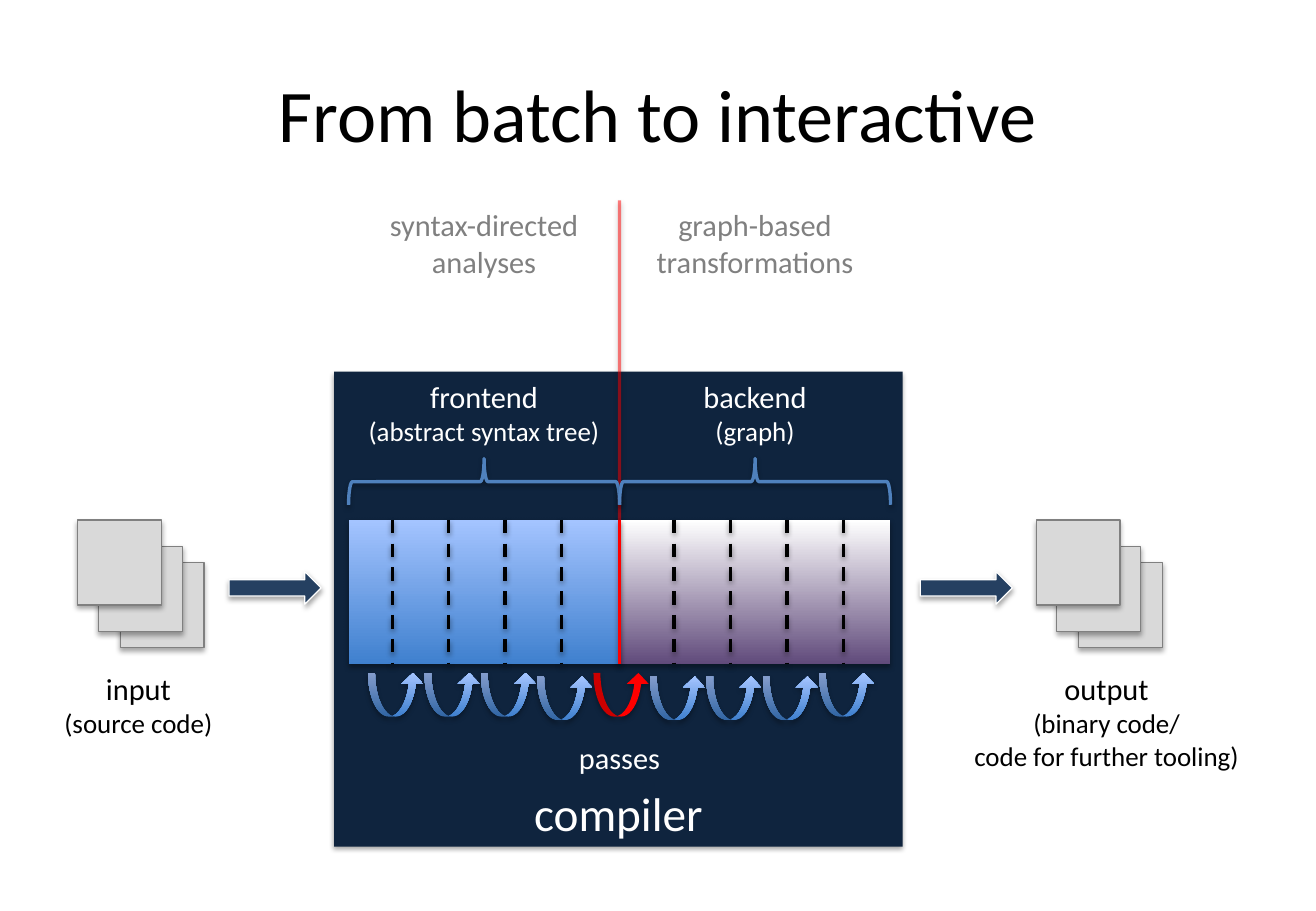
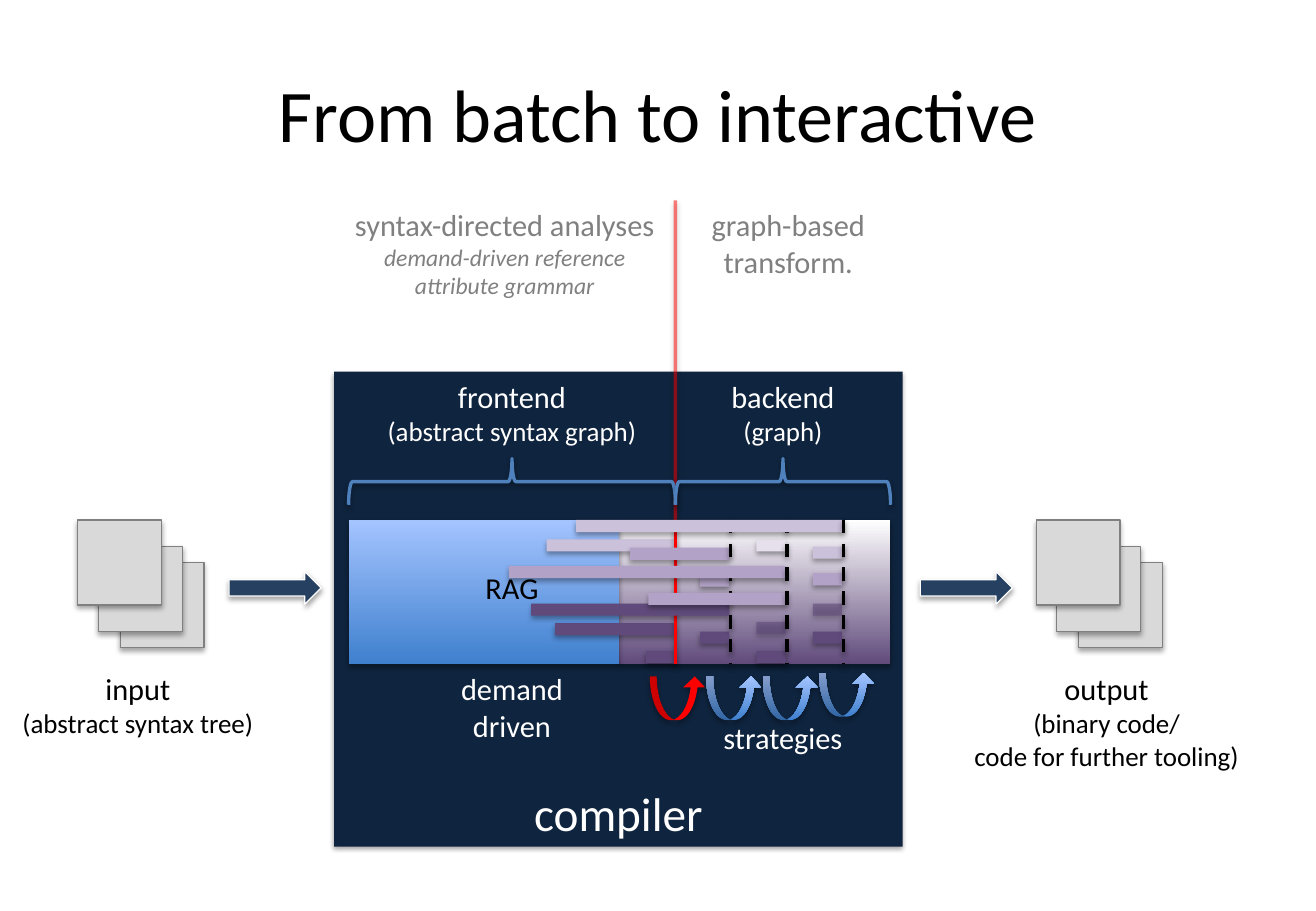
from lxml.etree import SubElement
from pptx import Presentation
from pptx.dml.color import RGBColor
from pptx.enum.dml import MSO_LINE
from pptx.enum.shapes import MSO_CONNECTOR, MSO_SHAPE
from pptx.enum.text import MSO_ANCHOR, MSO_AUTO_SIZE, PP_ALIGN
from pptx.oxml.ns import qn
from pptx.util import Pt

FONT = "Calibri"
BLACK, WHITE, GRAY, RED = "000000", "FFFFFF", "808080", "FF0000"
NAVY, ARROW, PAPER, BRACE = "0F243E", "254061", "D9D9D9", "4F81BD"
PURPLE, LILAC, PALE, PALEST = "604A7B", "B3A2C7", "CCC1DA", "E6E0EC"
BLUE_FADE = ("3F80CE", "A4C4FF")
PURPLE_FADE = (PURPLE, WHITE)

LEFT, MIDDLE, RIGHT = 206.6, 367.2, 527.8
TOP, BAND = 308.2, 85.7
BOTTOM = TOP + BAND
PASS_START, PASS_STEP = 232.6, 33.4
SHORT = 17.3
LABEL_TOP = 118.8


def color(value):
    return RGBColor.from_string(value)


def pass_x(index):
    return PASS_START + PASS_STEP * index


def set_alpha(holder, percent):
    SubElement(holder.find(".//" + qn("a:srgbClr")), qn("a:alpha"), val=str(percent * 1000))


def add_shadow(properties, distance, percent):
    effects = properties.find(qn("a:effectLst"))
    if effects is None:
        effects = SubElement(properties, qn("a:effectLst"))
    shadow = SubElement(effects, qn("a:outerShdw"), blurRad=str(Pt(3.1)), dist=str(Pt(distance)),
                        dir="5400000", rotWithShape="0")
    SubElement(shadow, qn("a:srgbClr"), val=BLACK)
    set_alpha(shadow, percent)


def add_figure(slide, kind, box, fill=None, line=None, width=0.75, alpha=None):
    shape = slide.shapes.add_shape(kind, *map(Pt, box))
    if fill is None:
        shape.fill.background()
    elif isinstance(fill, tuple):
        shape.fill.gradient()
        shape.fill.gradient_angle = 90
        for stop, shade in zip(shape.fill.gradient_stops, fill):
            stop.color.rgb = color(shade)
    else:
        shape.fill.solid()
        shape.fill.fore_color.rgb = color(fill)
    if alpha:
        set_alpha(shape.element.spPr, alpha)
    if line:
        shape.line.color.rgb = color(line)
        shape.line.width = Pt(width)
    else:
        shape.line.fill.background()
    shape.shadow.inherit = False
    add_shadow(shape.element.spPr, 1.8, 35)
    return shape


def add_vertical(slide, x, top, bottom, shade, dashed=False, alpha=None):
    connector = slide.shapes.add_connector(
        MSO_CONNECTOR.STRAIGHT, Pt(x), Pt(top), Pt(x), Pt(bottom))
    connector.line.color.rgb = color(shade)
    connector.line.width = Pt(2)
    if dashed:
        connector.line.dash_style = MSO_LINE.DASH
    if alpha:
        set_alpha(connector.element.spPr, alpha)
    add_shadow(connector.element.spPr, 1.6, 38)


def write_lines(frame, lines, shade):
    for index, (text, size, *italic) in enumerate(lines):
        paragraph = frame.add_paragraph() if index else frame.paragraphs[0]
        paragraph.text = text
        paragraph.alignment = PP_ALIGN.CENTER
        paragraph.font.name = FONT
        paragraph.font.size = Pt(size)
        paragraph.font.color.rgb = color(shade)
        if italic:
            paragraph.font.italic = True


def add_label(slide, box, lines, shade, wrap=True):
    frame = slide.shapes.add_textbox(*map(Pt, box)).text_frame
    frame.word_wrap = wrap
    frame.auto_size = MSO_AUTO_SIZE.SHAPE_TO_FIT_TEXT
    write_lines(frame, lines, shade)


def add_title(slide, text):
    title = slide.shapes.title
    title.left, title.top, title.width, title.height = map(Pt, (38.9, 21.6, 702, 90))
    title.text_frame.vertical_anchor = MSO_ANCHOR.MIDDLE
    write_lines(title.text_frame, [(text, 44)], BLACK)


def add_brace(slide, left, right):
    depth, center = 27.4, 285.5
    span = right - left
    brace = add_figure(slide, MSO_SHAPE.LEFT_BRACE,
                       ((left + right - depth) / 2, center - span / 2, depth, span),
                       line=BRACE, width=2)
    brace.rotation = 90


def add_files(slide, left):
    for across, down in ((25.2, 25.2), (12.2, 15.8), (0, 0)):
        add_figure(slide, MSO_SHAPE.RECTANGLE, (left + across, TOP + down, 49.7, 50.4), PAPER, GRAY)


def add_pass_arrow(slide, index, fill):
    top = 401 if index in (3, 5, 6, 7) else 398.9
    arrow = add_figure(slide, MSO_SHAPE.CURVED_UP_ARROW,
                       (pass_x(index) - 14.4, top, 33.1, 25.9), fill)
    for position, value in enumerate((0.157, 0.5, 0.25)):
        arrow.adjustments[position] = value


def add_divider(slide, index):
    add_vertical(slide, pass_x(index), TOP, BOTTOM, BLACK, dashed=True)


def add_reuse_bars(slide, right, bars):
    for width, top, fill, *alpha in bars:
        add_figure(slide, MSO_SHAPE.RECTANGLE, (right - width, top, width, 7.2), fill, None, 0,
                   alpha[0] if alpha else None)


def add_compiler_slide(presentation, border, analyses, transformations, tree, source):
    slide = presentation.slides.add_slide(presentation.slide_layouts[5])
    add_title(slide, "From batch to interactive")
    compiler = add_figure(slide, MSO_SHAPE.RECTANGLE, (198, 220.3, 337, 281.5), NAVY)
    compiler.text_frame.vertical_anchor = MSO_ANCHOR.BOTTOM
    write_lines(compiler.text_frame, [("compiler", 28)], WHITE)

    front, back = border - LEFT, RIGHT - border
    add_label(slide, (border - analyses[0], LABEL_TOP, analyses[0], 51.1), analyses[1], GRAY)
    add_label(slide, (border, LABEL_TOP, transformations[0], 51.1), transformations[1], GRAY)
    add_vertical(slide, border, LABEL_TOP, TOP, RED, alpha=50)

    add_figure(slide, MSO_SHAPE.RECTANGLE, (MIDDLE, TOP, RIGHT - MIDDLE, BAND), PURPLE_FADE)
    add_figure(slide, MSO_SHAPE.RECTANGLE, (LEFT, TOP, MIDDLE - LEFT, BAND), BLUE_FADE)
    add_brace(slide, LEFT, border)
    add_brace(slide, border, RIGHT)
    add_label(slide, (LEFT, 220.6, front, 48.2), [("frontend", 18), (tree, 16)], WHITE)
    add_label(slide, (border, 220.6, back, 48.2), [("backend", 18), ("(graph)", 16)], WHITE)

    for files_left, arrow_left in ((46.1, 135.7), (614.2, 545.4)):
        add_files(slide, files_left)
        add_figure(slide, MSO_SHAPE.RIGHT_ARROW, (arrow_left, 338.8, 54.7, 19.4), ARROW, WHITE)
    left, width, text = source
    add_label(slide, (left, BOTTOM, width, 48.2), [("input", 18), (text, 16)], BLACK, False)
    add_label(slide, (568.8, BOTTOM, 174.2, 67.7),
              [("output", 18), ("(binary code/", 16), ("code for further tooling)", 16)],
              BLACK, False)
    return slide


def add_batch_slide(presentation):
    slide = add_compiler_slide(
        presentation, MIDDLE,
        (160.6, [("syntax-directed analyses", 18)]),
        (160.6, [("graph-based transformations", 18)]),
        "(abstract syntax tree)", (30.2, 103.7, "(source code)"))
    for index in range(9):
        if index == 4:
            add_vertical(slide, MIDDLE, TOP, BOTTOM, RED)
        else:
            add_divider(slide, index)
        add_pass_arrow(slide, index, RED if index == 4 else BLUE_FADE)
    add_label(slide, (LEFT, 434.9, RIGHT - LEFT, 28.8), [("passes", 18)], WHITE)


def add_interactive_slide(presentation):
    border = 400.3
    front = border - LEFT
    slide = add_compiler_slide(
        presentation, border,
        (202.3, [("syntax-directed analyses", 18),
                 ("demand-driven reference attribute grammar", 14, True)]),
        (133.9, [("graph-based transform.", 18)]),
        "(abstract syntax graph)", (4.3, 154.8, "(abstract syntax tree)"))
    for index in range(5, 9):
        add_pass_arrow(slide, index, RED if index == 5 else BLUE_FADE)
    add_label(slide, (border, 422.6, RIGHT - border, 28.8), [("strategies", 18)], WHITE)
    add_label(slide, (LEFT, BOTTOM, front, 51.1), [("demand", 18), ("driven", 18)], WHITE)

    add_reuse_bars(slide, border, [
        (76.3, 319.7, PALE), (71.3, 369.4, PURPLE), (SHORT, 385.9, PURPLE)])
    add_vertical(slide, border, TOP, BOTTOM, RED)
    strategy_bars = {
        6: [(SHORT, 340.6, LILAC), (SHORT, 374.4, PURPLE),
            (59, 324.7, LILAC), (117.4, 357.8, PURPLE)],
        7: [(SHORT, 319.7, PALEST), (SHORT, 368.6, PURPLE, 60), (SHORT, 385.9, PURPLE),
            (164, 335.5, LILAC), (81.4, 351.4, LILAC)],
        8: [(SHORT, 324, PALE), (SHORT, 339.8, LILAC), (SHORT, 357.8, PURPLE, 60),
            (SHORT, 374.4, PURPLE), (157.7, TOP, PALE)],
    }
    for index, bars in strategy_bars.items():
        add_reuse_bars(slide, pass_x(index) - 0.7, bars)
        add_divider(slide, index)
    add_label(slide, (LEFT, 334.1, front, 28.8), [("RAG", 18)], BLACK)


def main():
    presentation = Presentation()
    presentation.slide_width = Pt(780)
    presentation.slide_height = Pt(540)
    add_batch_slide(presentation)
    add_interactive_slide(presentation)
    presentation.save("out.pptx")


if __name__ == "__main__":
    main()
